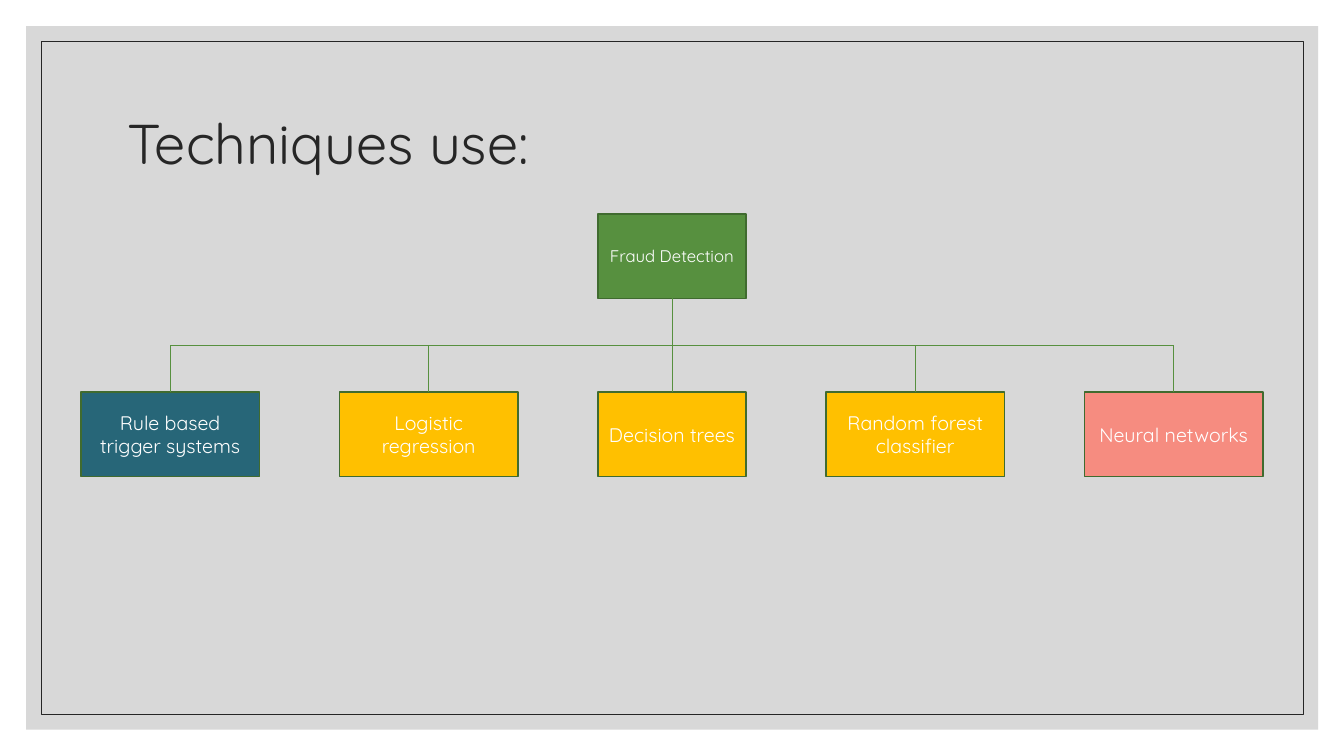
import pptx
import pptx.dml.color
import pptx.enum.shapes
import pptx.enum.text
import pptx.oxml
import pptx.oxml.ns
import pptx.util

Cm = pptx.util.Cm
Pt = pptx.util.Pt
ALIGN = pptx.enum.text.PP_ALIGN
FONT = "Quicksand"
INK, WHITE, GREEN, DARK_GREEN = "262626", "FFFFFF", "57903F", "406B2F"
TEAL, AMBER, CORAL = "276678", "FFC000", "F68C80"
NARROW, WIDE, BOX_HEIGHT = 3.73, 4.5, 2.13
TECHNIQUES = [
    ("Rule based trigger systems", TEAL, WIDE),
    ("Logistic regression", AMBER, WIDE),
    ("Decision trees", AMBER, NARROW),
    ("Random forest classifier", AMBER, WIDE),
    ("Neural networks", CORAL, WIDE),
]


def color(value):
    """Turn a hex string into a colour."""
    return pptx.dml.color.RGBColor.from_string(value)


def write(shape, text, size=14, ink=WHITE, align=ALIGN.CENTER, spacing=None):
    """Put formatted, vertically centred text into a shape."""
    frame = shape.text_frame
    frame.word_wrap = True
    frame.auto_size = pptx.enum.text.MSO_AUTO_SIZE.NONE
    frame.vertical_anchor = pptx.enum.text.MSO_ANCHOR.MIDDLE
    paragraph = frame.paragraphs[0]
    paragraph.alignment = align
    paragraph.line_spacing = spacing
    run = paragraph.add_run()
    run.text = text
    run.font.name = FONT
    run.font.size = Pt(size)
    run.font.color.rgb = color(ink)


def add_box(slide, left, top, width, height, fill=None, line=None, weight=1):
    """Add a rectangle with an optional fill and outline."""
    shape = slide.shapes.add_shape(
        pptx.enum.shapes.MSO_SHAPE.RECTANGLE, Cm(left), Cm(top), Cm(width), Cm(height))
    shape.shadow.inherit = False
    if fill:
        shape.fill.solid()
        shape.fill.fore_color.rgb = color(fill)
    else:
        shape.fill.background()
    if line:
        shape.line.color.rgb = color(line)
        shape.line.width = Pt(weight)
    else:
        shape.line.fill.background()
    return shape


def add_line(slide, start_x, start_y, end_x, end_y):
    """Add a thin green line of the tree."""
    line = slide.shapes.add_connector(
        pptx.enum.shapes.MSO_CONNECTOR.STRAIGHT,
        Cm(start_x), Cm(start_y), Cm(end_x), Cm(end_y))
    line.line.color.rgb = color(GREEN)
    line.line.width = Pt(0.5)
    line._element.spPr.append(pptx.oxml.parse_xml(
        "<a:effectLst %s/>" % pptx.oxml.ns.nsdecls("a")))


def add_frame(slide, left, top, width, height, inset=0.38):
    """Add the translucent grey panel and its inner border."""
    panel = add_box(slide, left, top, width, height, fill="BFBFBF")
    tint = panel._element.spPr.find(".//" + pptx.oxml.ns.qn("a:srgbClr"))
    tint.append(pptx.oxml.parse_xml(
        '<a:alpha %s val="60000"/>' % pptx.oxml.ns.nsdecls("a")))
    add_box(slide, left + inset, top + inset, width - 2 * inset, height - 2 * inset,
            line=INK, weight=0.5)


def add_title(slide, text, left, top, width, height):
    """Place and format the title in front of the frame."""
    title = slide.shapes.title
    title.left, title.top, title.width, title.height = map(Cm, (left, top, width, height))
    write(title, text, size=40, ink=INK, align=ALIGN.LEFT, spacing=0.9)
    title._element.getparent().append(title._element)


def add_tree(slide, left, top, width, height):
    """Add the root box, the row of techniques and the lines between them."""
    middle = left + width / 2
    row_top = top + height - BOX_HEIGHT
    root_bottom = top + BOX_HEIGHT
    bus = (root_bottom + row_top) / 2
    gap = (width - sum(technique[2] for technique in TECHNIQUES)) / (len(TECHNIQUES) - 1)
    root = add_box(slide, middle - NARROW / 2, top, NARROW, BOX_HEIGHT, GREEN, DARK_GREEN)
    write(root, "Fraud Detection", size=12)
    centers = []
    for name, fill, box_width in TECHNIQUES:
        box = add_box(slide, left, row_top, box_width, BOX_HEIGHT, fill, DARK_GREEN)
        write(box, name)
        centers.append(left + box_width / 2)
        add_line(slide, centers[-1], bus, centers[-1], row_top)
        left += box_width + gap
    add_line(slide, middle, root_bottom, middle, bus)
    add_line(slide, centers[0], bus, centers[-1], bus)


def main():
    """Build and save the slide."""
    presentation = pptx.Presentation()
    presentation.slide_width, presentation.slide_height = Cm(33.87), Cm(19.05)
    slide = presentation.slides.add_slide(presentation.slide_layouts.get_by_name("Title Only"))
    add_frame(slide, 0.66, 0.66, 32.56, 17.73)
    add_title(slide, "Techniques use:", 2.97, 1.78, 27.94, 3.81)
    add_tree(slide, 2.04, 5.39, 29.79, 6.62)
    presentation.save("out.pptx")


main()
